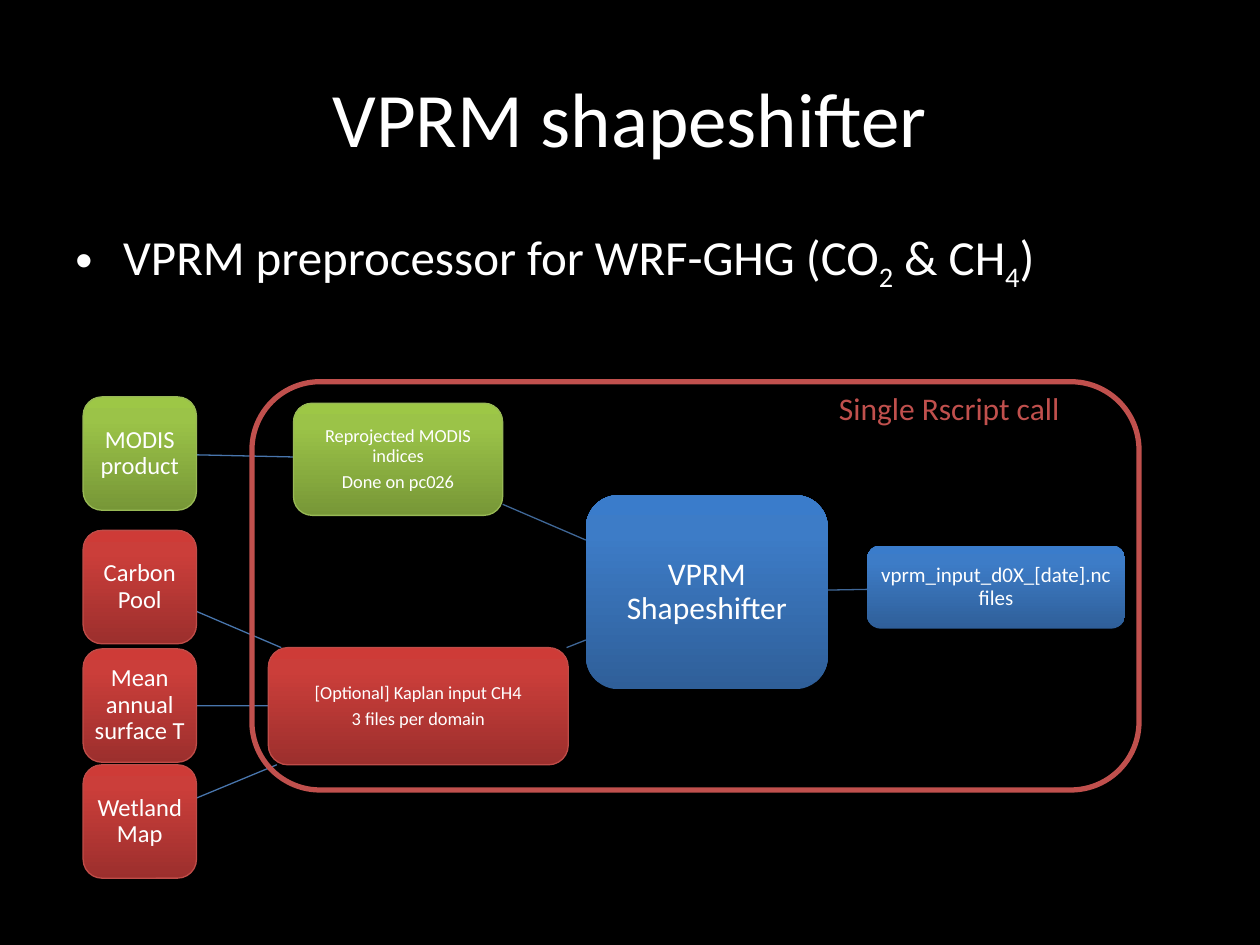
from copy import deepcopy

from lxml import etree
from pptx import Presentation
from pptx.dml.color import RGBColor
from pptx.enum.shapes import MSO_CONNECTOR, MSO_SHAPE
from pptx.enum.text import MSO_ANCHOR, PP_ALIGN
from pptx.oxml.ns import qn
from pptx.util import Inches, Pt

COLORS = {"background": "000000", "text": "FFFFFF", "accent": "C0504D",
          "inner_link": "3F6797", "outer_link": "4875AC"}
# Gradient from bottom to top, then outline
NODE_COLORS = {
    "blue": (("2F5F99", "3D7CC7", "3A7CCB"), None),
    "green": (("779737", "9BC348", "9DC746"), "98B955"),
    "red": (("9C2F2D", "CB3E3A", "CE3B37"), "BF4C48"),
}
SOURCE = {"size": 14, "inset": 0.04}
INPUT = {"size": 10.5, "inset": 0.03}
# Name: box, colour, paragraphs, text format
NODES = {
    "shapeshifter": ((4.65, 3.93, 1.92, 1.54), "blue", ["VPRM Shapeshifter"],
                     {"size": 18, "inset": 0.05}),
    "indices": ((2.33, 3.2, 1.66, 0.89), "green",
                ["Reprojected MODIS indices", "Done on pc026"], INPUT),
    "modis": ((0.66, 3.15, 0.9, 0.9), "green", ["MODIS product"], SOURCE),
    "kaplan": ((2.13, 5.14, 2.38, 0.93), "red",
               ["[Optional] Kaplan input CH4", "3 files per domain"], INPUT),
    "wetland": ((0.66, 6.07, 0.9, 0.9), "red", ["Wetland Map"], SOURCE),
    "carbon": ((0.66, 4.21, 0.9, 0.9), "red", ["Carbon Pool"], SOURCE),
    "temperature": ((0.66, 5.15, 0.9, 0.9), "red", ["Mean annual surface T"], SOURCE),
    "output": ((6.88, 4.33, 2.05, 0.66), "blue", ["vprm_input_d0X_[date].nc files"],
               {"size": 12, "inset": 0.03}),
}
LINKS = [
    ("shapeshifter", "output", "inner_link"),
    ("shapeshifter", "kaplan", "inner_link"),
    ("shapeshifter", "indices", "inner_link"),
    ("indices", "modis", "outer_link"),
    ("kaplan", "wetland", "outer_link"),
    ("kaplan", "carbon", "outer_link"),
    ("kaplan", "temperature", "outer_link"),
]


def rgb(value):
    return RGBColor.from_string(value)


def inches(box):
    return [Inches(v) for v in box]


def add_run(p, text, size, color=COLORS["text"]):
    r = p.add_run()
    r.text = text
    for name, value in {"name": "Calibri", "size": Pt(size)}.items():
        setattr(r.font, name, value)
    r.font.color.rgb = rgb(color)
    return r


def set_frame(tf, inset_x, inset_y, anchor):
    values = {"word_wrap": True, "vertical_anchor": anchor,
              "margin_left": Inches(inset_x), "margin_right": Inches(inset_x),
              "margin_top": Inches(inset_y), "margin_bottom": Inches(inset_y)}
    for name, value in values.items():
        setattr(tf, name, value)


def add_title(s, box, text):
    title = s.shapes.title
    title.left, title.top, title.width, title.height = inches(box)
    set_frame(title.text_frame, 0.1, 0.05, MSO_ANCHOR.MIDDLE)
    p = title.text_frame.paragraphs[0]
    p.alignment = PP_ALIGN.CENTER
    add_run(p, text, 44)


def add_bullet(s, box, parts):
    tf = s.shapes.add_textbox(*inches(box)).text_frame
    set_frame(tf, 0.1, 0.05, MSO_ANCHOR.TOP)
    p = tf.paragraphs[0]
    p.space_before = Pt(5.6)
    pPr = p._p.get_or_add_pPr()
    pPr.set("marL", str(Inches(0.38)))
    pPr.set("indent", str(-Inches(0.38)))
    etree.SubElement(pPr, qn("a:buFont")).set("typeface", "Arial")
    etree.SubElement(pPr, qn("a:buChar")).set("char", "•")
    for text, is_subscript in parts:
        r = add_run(p, text, 28)
        if is_subscript:
            r._r.get_or_add_rPr().set("baseline", "-25000")


def fill_gradient(shape, colors):
    shape.fill.gradient()
    shape.fill.gradient_angle = 90
    first = shape._element.spPr.find(".//" + qn("a:gs"))
    first.addnext(deepcopy(first))
    for stop, color, position in zip(shape.fill.gradient_stops, colors, (0, 0.8, 1)):
        stop.color.rgb = rgb(color)
        stop.position = position


def add_node(s, box, color, paragraphs, size, inset):
    sp = s.shapes.add_shape(MSO_SHAPE.ROUNDED_RECTANGLE, *inches(box))
    sp.shadow.inherit = False
    gradient, outline = NODE_COLORS[color]
    fill_gradient(sp, gradient)
    if outline:
        sp.line.color.rgb = rgb(outline)
        sp.line.width = Pt(0.75)
    else:
        sp.line.fill.background()
    tf = sp.text_frame
    set_frame(tf, inset, inset, MSO_ANCHOR.MIDDLE)
    for i, text in enumerate(paragraphs):
        p = tf.add_paragraph() if i else tf.paragraphs[0]
        for name, value in {"alignment": PP_ALIGN.CENTER, "line_spacing": 0.9,
                            "space_after": Pt(size * 0.35)}.items():
            setattr(p, name, value)
        add_run(p, text, size)


def center(box):
    x, y, w, h = box
    return x + w / 2, y + h / 2


def edge_point(box, other):
    """Where the line between two box centres leaves the first box."""
    (x, y), (ox, oy) = center(box), center(other)
    dx, dy = ox - x, oy - y
    reach = min(size / 2 / abs(d) for size, d in zip(box[2:], (dx, dy)) if d)
    return x + dx * reach, y + dy * reach


def add_link(s, start, end, color):
    points = edge_point(start, end) + edge_point(end, start)
    line = s.shapes.add_connector(MSO_CONNECTOR.STRAIGHT, *inches(points))
    line.line.color.rgb = rgb(color)
    line.line.width = Pt(0.75)
    etree.SubElement(line._element.spPr, qn("a:effectLst"))


def add_diagram(s):
    for start, end, color in LINKS:
        add_link(s, NODES[start][0], NODES[end][0], COLORS[color])
    for box, color, paragraphs, text_format in NODES.values():
        add_node(s, box, color, paragraphs, **text_format)


def add_call_frame(s, box, label):
    frame = s.shapes.add_shape(MSO_SHAPE.ROUNDED_RECTANGLE, *inches(box))
    frame.shadow.inherit = False
    frame.fill.background()
    frame.line.color.rgb = rgb(COLORS["accent"])
    frame.line.width = Pt(3)
    x, y, w, _ = box
    label_box = (x + w - 2.48, y + 0.01, 1.97, 0.4)
    tf = s.shapes.add_textbox(*inches(label_box)).text_frame
    set_frame(tf, 0.1, 0.05, MSO_ANCHOR.TOP)
    add_run(tf.paragraphs[0], label, 18, COLORS["accent"])


def main():
    prs = Presentation()
    prs.slide_width, prs.slide_height = Inches(10), Inches(7.5)
    s = prs.slides.add_slide(prs.slide_layouts[5])
    s.background.fill.solid()
    s.background.fill.fore_color.rgb = rgb(COLORS["background"])

    # Heading
    add_title(s, (0.5, 0.3, 9, 1.25), "VPRM shapeshifter")
    add_bullet(s, (0.5, 1.75, 9, 0.65), [
        ("VPRM preprocessor for WRF-GHG (CO", False), ("2", True),
        (" & CH", False), ("4", True), (")", False)])

    # Data flow and the part run by one call
    add_diagram(s)
    add_call_frame(s, (2, 3.03, 7.04, 3.24), "Single Rscript call")

    prs.save("out.pptx")


if __name__ == "__main__":
    main()
